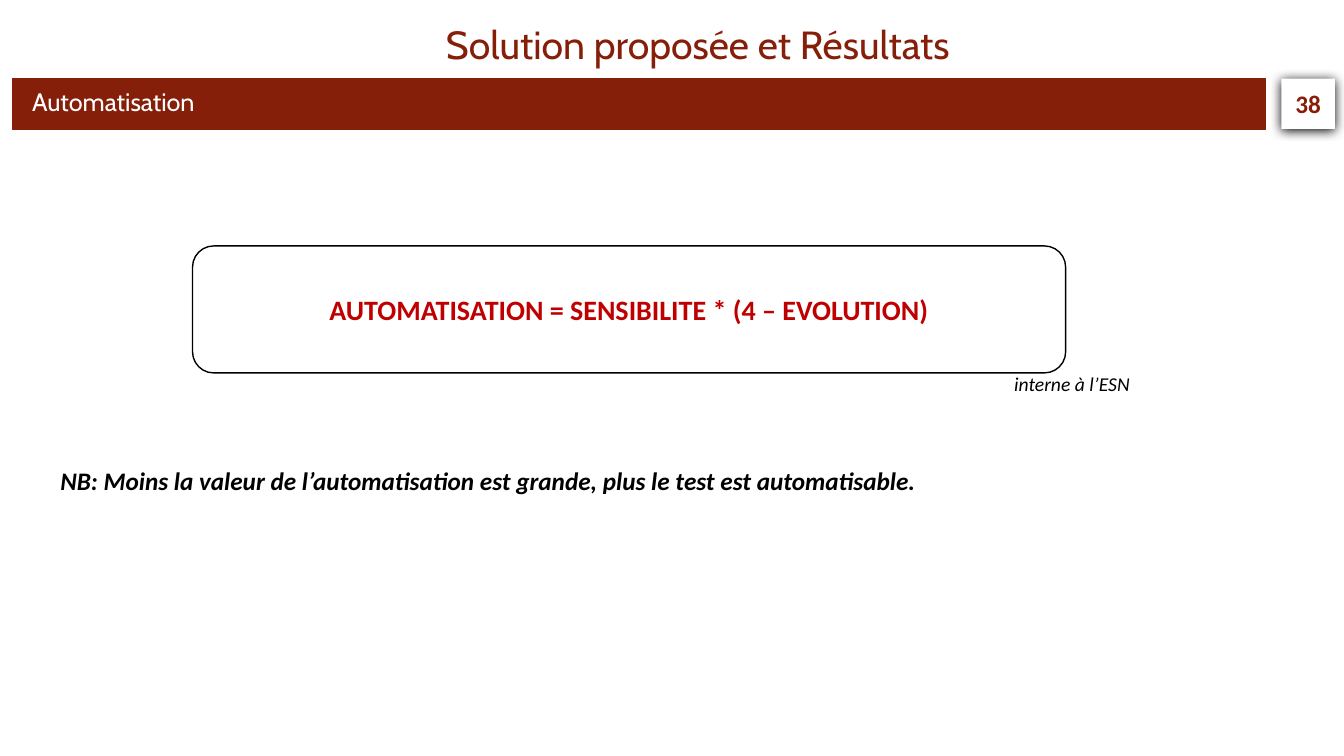
from lxml import etree
from pptx import Presentation
from pptx.dml.color import RGBColor
from pptx.enum import shapes, text
from pptx.oxml.ns import qn
from pptx.util import Inches, Pt

BRICK = RGBColor(0x86, 0x1F, 0x0A)
RED = RGBColor(0xC0, 0x00, 0x00)
WHITE = RGBColor(0xFF, 0xFF, 0xFF)
BLACK = RGBColor(0x00, 0x00, 0x00)
CENTER = text.PP_ALIGN.CENTER
LEFT = text.PP_ALIGN.LEFT
TOP = text.MSO_ANCHOR.TOP
MIDDLE = text.MSO_ANCHOR.MIDDLE


def write(holder, words, size, color, font="Calibri", align=LEFT, anchor=TOP,
          bold=False, italic=False):
    frame = holder.text_frame
    frame.text = words
    frame.word_wrap = True
    frame.auto_size = text.MSO_AUTO_SIZE.NONE
    frame.vertical_anchor = anchor
    paragraph = frame.paragraphs[0]
    paragraph.alignment = align
    style = paragraph.runs[0].font
    style.name, style.size = font, Pt(size)
    style.bold, style.italic = bold, italic
    style.color.rgb = color


def add_panel(slide, kind, box, fill, line=None, line_width=0):
    panel = slide.shapes.add_shape(kind, *map(Inches, box))
    panel.shadow.inherit = False
    panel.fill.solid()
    panel.fill.fore_color.rgb = fill
    if line is None:
        panel.line.fill.background()
    else:
        panel.line.color.rgb = line
        panel.line.width = Pt(line_width)
    return panel


def add_text(slide, box, words, size, color, **style):
    holder = slide.shapes.add_textbox(*map(Inches, box))
    write(holder, words, size, color, **style)


def cast_shadow(panel):
    """Give the panel a soft black shadow falling straight down."""
    effects = panel._element.spPr.find(qn("a:effectLst"))
    shadow = etree.SubElement(
        effects, qn("a:outerShdw"), blurRad=str(Pt(8.5)), dist=str(Pt(1)),
        dir="5400000", algn="t", rotWithShape="0")
    etree.SubElement(shadow, qn("a:srgbClr"), val=str(BLACK))


def place_title(slide, box, words):
    title = slide.shapes.title
    title.left, title.top, title.width, title.height = map(Inches, box)
    write(title, words, 28, BRICK, font="Cabin", align=CENTER)


def add_header(slide, box, section, number):
    """Draw the section band and, at its right end, the page number."""
    left, top, width, height = box
    number_width, gap = 0.53, 0.16
    band_width = width - number_width - gap
    rectangle = shapes.MSO_SHAPE.RECTANGLE
    page = add_panel(slide, rectangle,
                     (left + width - number_width, top, number_width, height), WHITE)
    cast_shadow(page)
    write(page, number, 18, BRICK, align=CENTER, anchor=MIDDLE, bold=True)
    add_panel(slide, rectangle, (left, top, band_width, height), BRICK, BRICK, 0.5)
    add_text(slide, (left + 0.1, top + 0.03, band_width - 0.2, height - 0.03),
             section, 18, WHITE, font="Cabin")


def add_formula(slide, box, formula, source):
    """Frame the formula and put its source under the lower right corner."""
    left, top, width, height = box
    frame = add_panel(slide, shapes.MSO_SHAPE.ROUNDED_RECTANGLE, box, WHITE, BLACK, 1)
    write(frame, formula, 20, RED, align=CENTER, anchor=MIDDLE, bold=True)
    add_text(slide, (left + width - 0.61, top + height - 0.06, 1.44, 0.34),
             source, 14, BLACK, italic=True)


def main():
    deck = Presentation()
    deck.slide_width, deck.slide_height = Inches(13.33), Inches(7.5)
    slide = deck.slides.add_slide(deck.slide_layouts[5])
    add_header(slide, (0.12, 0.78, 13.12, 0.5), "Automatisation", "38")
    place_title(slide, (3.09, 0.15, 7.66, 0.6), "Solution proposée et Résultats")
    add_formula(slide, (1.91, 2.44, 8.66, 1.26),
                "AUTOMATISATION = SENSIBILITE * (4 – EVOLUTION)", "interne à l’ESN")
    add_text(slide, (0.5, 4.52, 9, 0.5),
             "NB: Moins la valeur de l’automatisation est grande, "
             "plus le test est automatisable.",
             18, BLACK, anchor=MIDDLE, bold=True, italic=True)
    deck.save("out.pptx")


if __name__ == "__main__":
    main()
